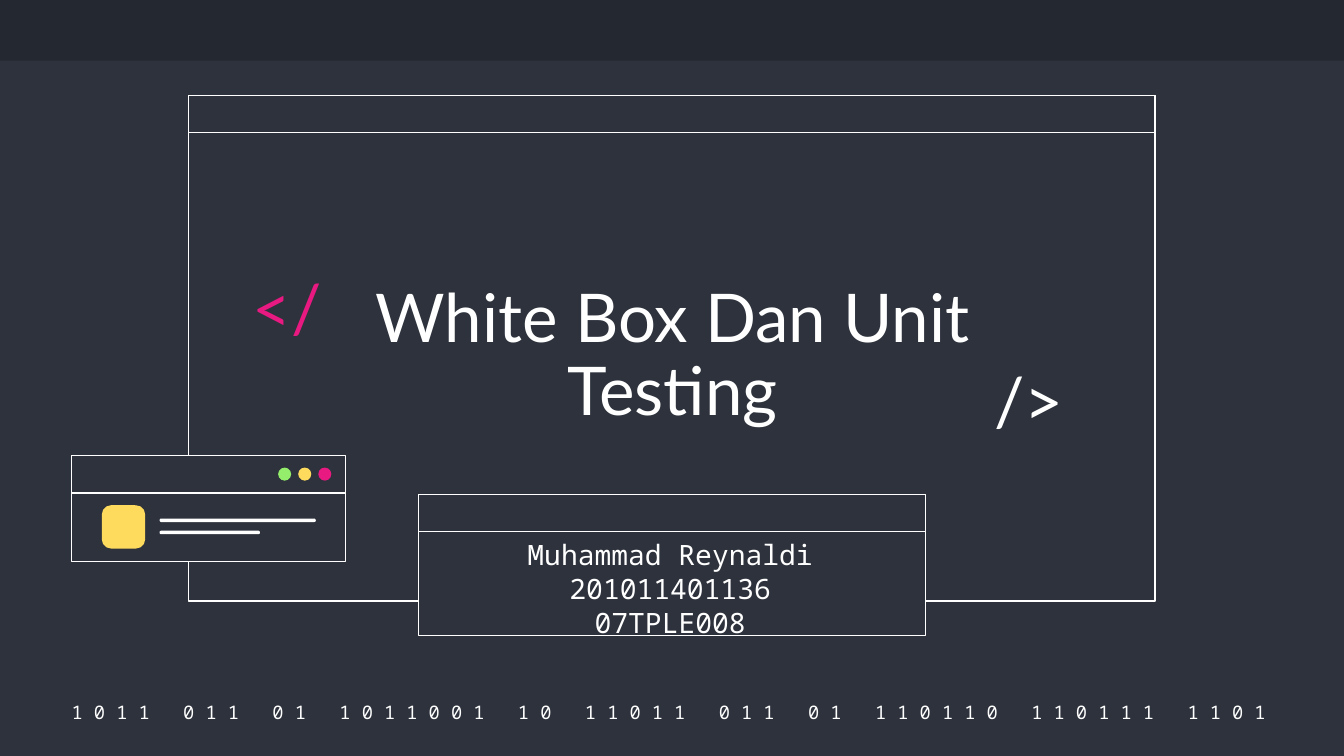
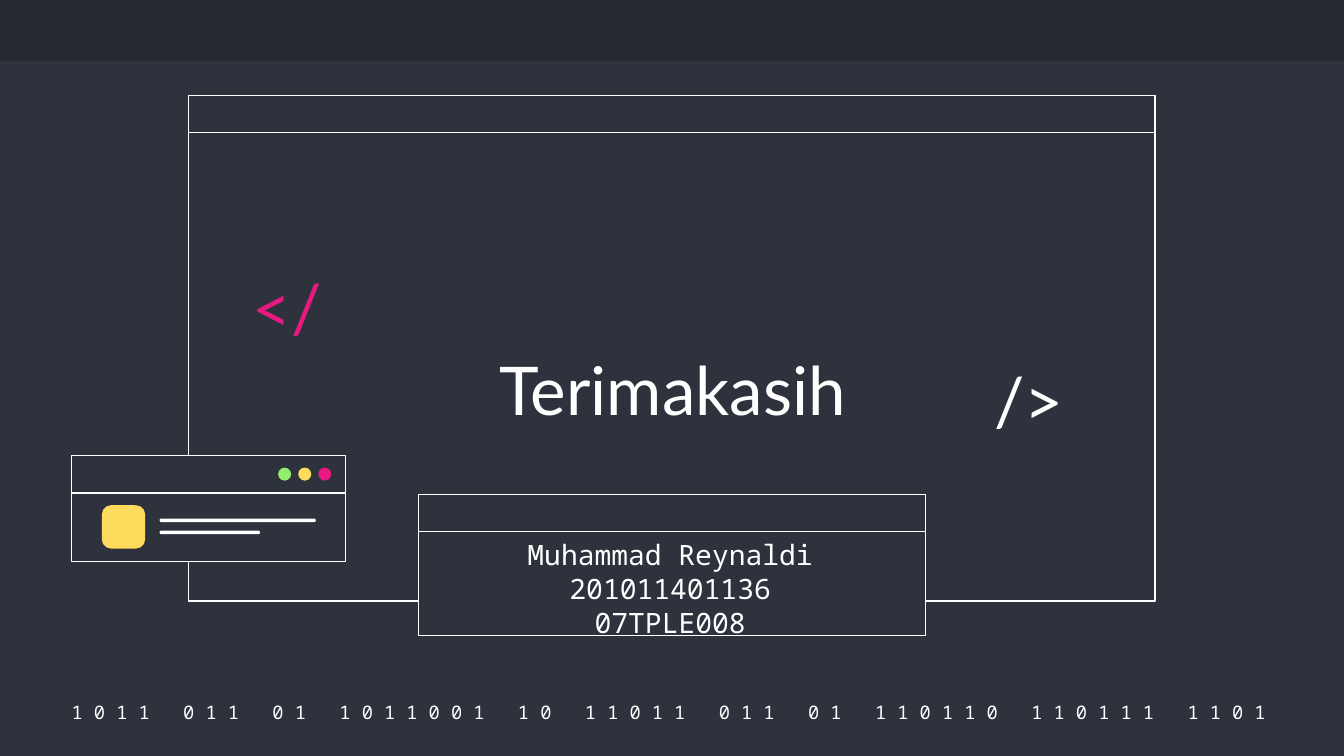
from pptx import Presentation
from pptx.dml.color import RGBColor
from pptx.enum import shapes, text
from pptx.util import Pt

# Content
TITLES = ["White Box Dan Unit Testing", "Terimakasih"]
AUTHOR = ["Muhammad Reynaldi", "201011401136", "07TPLE008"]
BITS = "1011 011 01 1011001 10 11011 011 01 110110 110111 1101"
FOOTER = "   ".join(" ".join(group) for group in BITS.split()) + " "

# Style
COLORS = {
    "background": "2D323C", "band": "242830", "white": "FFFFFF",
    "pink": "E81981", "yellow": "FFDB5D", "green": "94EE6B",
}
HEADING = {"font": "Lato", "size": 36, "line_spacing": 0.9}
MONO = {"font": "Noto Sans Mono", "align": text.PP_ALIGN.CENTER}
RECTANGLE = shapes.MSO_SHAPE.RECTANGLE
ROUNDED = shapes.MSO_SHAPE.ROUNDED_RECTANGLE
OVAL = shapes.MSO_SHAPE.OVAL

# Layout: left, top, width, height in points
SLIDE_SIZE = (720, 405)
BAND = (0, 0, 720, 32.5)
FOOTER_BOX = (27.4, 374.4, 667.4, 14.4)
MAIN_WINDOW = (100.9, 51.2, 517.8, 270.8)
AUTHOR_WINDOW = (224.2, 264.8, 271.6, 75.8)
SMALL_WINDOW = (38.2, 244.1, 147, 56.6)
TITLE_BOX = (162.7, 95, 395.3, 142.6)
AUTHOR_BOX = (239.2, 281, 239.8, 56.2)
OPEN_TAG_BOX = (128.2, 143.3, 55.4, 47.5)
CLOSE_TAG_BOX = (525.6, 193, 55.4, 47.5)
BAR_HEIGHT = 20

# Small window details
AVATAR = (54.6, 270.7, 23.2, 23.2)
TEXT_BARS = {"left": 85.5, "top": 277.8, "step": 6.5, "height": 1.9, "widths": (83.7, 53.8)}
DOTS = {"left": 149, "top": 250.5, "step": 10.75, "size": 7, "colors": ("green", "yellow", "pink")}


def color(name):
    return RGBColor.from_string(COLORS[name])


def add_box(parent, box, fill, kind=RECTANGLE, line=None, radius=None):
    shape = parent.shapes.add_shape(kind, *map(Pt, box))
    shape.shadow.inherit = False
    shape.fill.solid()
    shape.fill.fore_color.rgb = color(fill)
    if line:
        shape.line.color.rgb = color(line)
        shape.line.width = Pt(0.75)
    else:
        shape.line.fill.background()
    if radius is not None:
        shape.adjustments[0] = radius
    return shape


def add_text(slide, box, lines, font, size, fill="white", align=text.PP_ALIGN.LEFT,
             anchor=text.MSO_ANCHOR.MIDDLE, line_spacing=1.0):
    frame = slide.shapes.add_textbox(*map(Pt, box)).text_frame
    frame.word_wrap = True
    frame.vertical_anchor = anchor
    frame.margin_left = frame.margin_right = Pt(7.2)
    frame.margin_top = frame.margin_bottom = Pt(7.2)
    for index, line in enumerate(lines):
        paragraph = frame.add_paragraph() if index else frame.paragraphs[0]
        paragraph.alignment = align
        paragraph.line_spacing = line_spacing
        run = paragraph.add_run()
        run.text = line
        run.font.name = font
        run.font.size = Pt(size)
        run.font.color.rgb = color(fill)


def add_window(slide, box, body_offset=0):
    """Group a window body with its title bar; the body may start below the bar."""
    left, top, width, height = box
    group = slide.shapes.add_group_shape()
    body = (left, top + body_offset, width, height - body_offset)
    for part in (body, (left, top, width, BAR_HEIGHT)):
        add_box(group, part, "background", line="white")
    return group


def add_small_window(slide):
    group = add_window(slide, SMALL_WINDOW, body_offset=BAR_HEIGHT)
    add_box(group, AVATAR, "yellow", ROUNDED, radius=0.21)
    for index, width in enumerate(TEXT_BARS["widths"]):
        top = TEXT_BARS["top"] + index * TEXT_BARS["step"]
        add_box(group, (TEXT_BARS["left"], top, width, TEXT_BARS["height"]),
                "white", ROUNDED, radius=0.5)
    for index, fill in enumerate(DOTS["colors"]):
        left = DOTS["left"] + index * DOTS["step"]
        add_box(group, (left, DOTS["top"], DOTS["size"], DOTS["size"]), fill, OVAL)


def add_slide(presentation, title):
    slide = presentation.slides.add_slide(presentation.slide_layouts[6])
    slide.background.fill.solid()
    slide.background.fill.fore_color.rgb = color("background")

    # Band and footer
    add_box(slide, BAND, "band")
    add_text(slide, FOOTER_BOX, [FOOTER], size=10, **MONO)

    # Windows and their text
    add_window(slide, MAIN_WINDOW)
    add_window(slide, AUTHOR_WINDOW)
    add_text(slide, OPEN_TAG_BOX, ["</"], fill="pink", **HEADING)
    add_text(slide, CLOSE_TAG_BOX, ["/>"], **HEADING)
    add_text(slide, TITLE_BOX, [title], align=text.PP_ALIGN.CENTER,
             anchor=text.MSO_ANCHOR.BOTTOM, **HEADING)
    add_text(slide, AUTHOR_BOX, AUTHOR, size=15, anchor=text.MSO_ANCHOR.TOP, **MONO)
    add_small_window(slide)


def main():
    presentation = Presentation()
    presentation.slide_width, presentation.slide_height = map(Pt, SLIDE_SIZE)
    for title in TITLES:
        add_slide(presentation, title)
    presentation.save("out.pptx")


if __name__ == "__main__":
    main()
